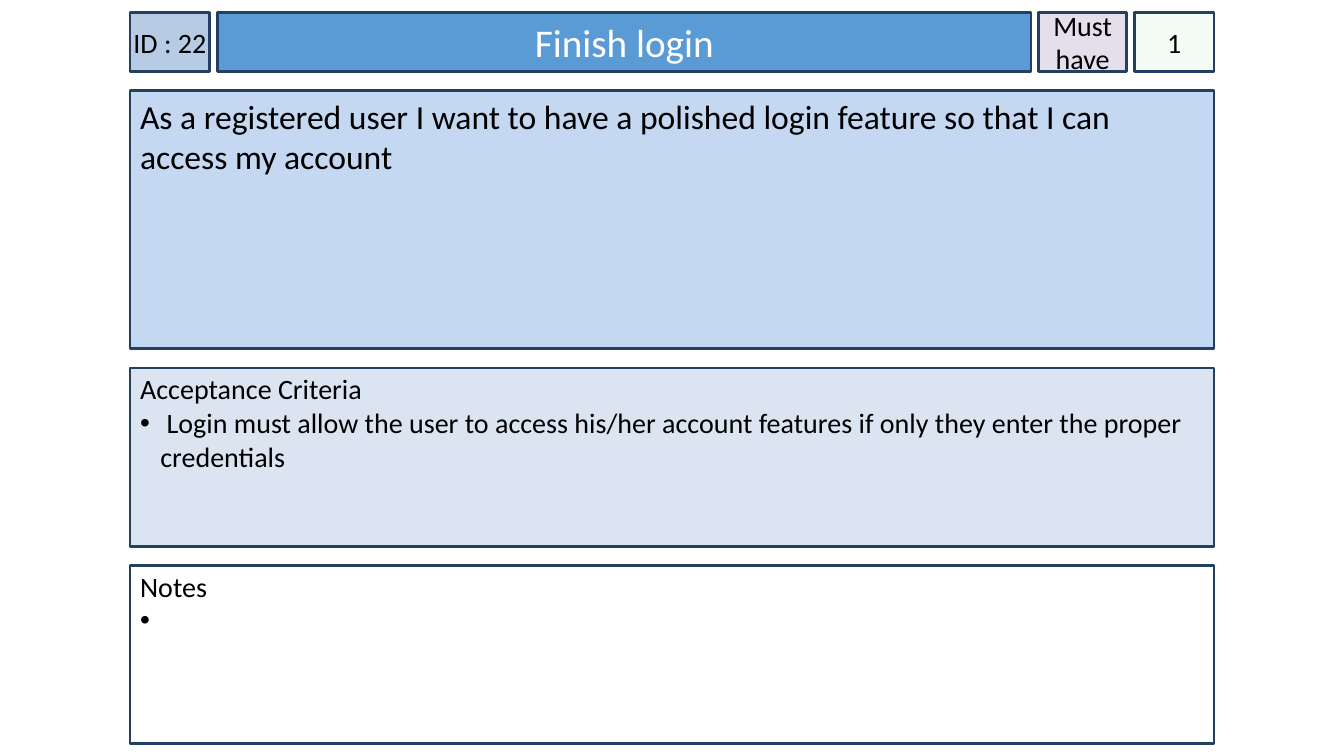
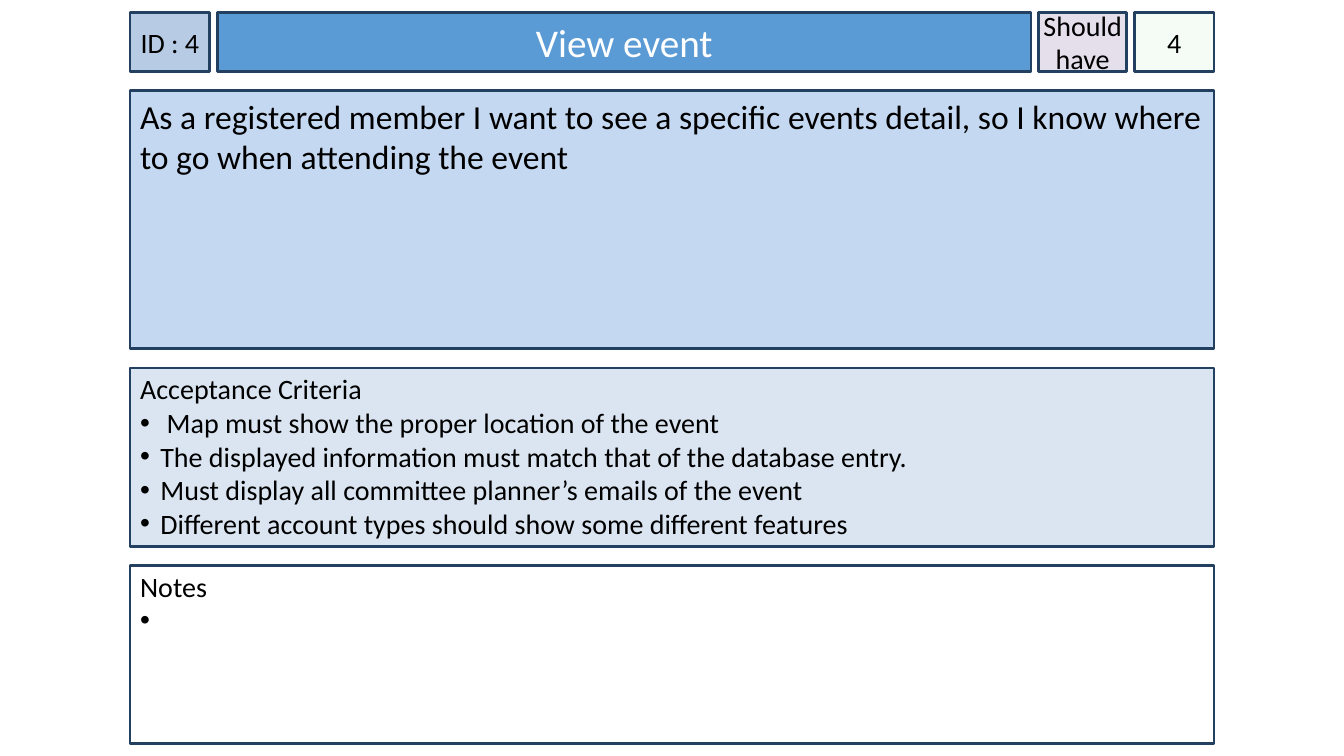
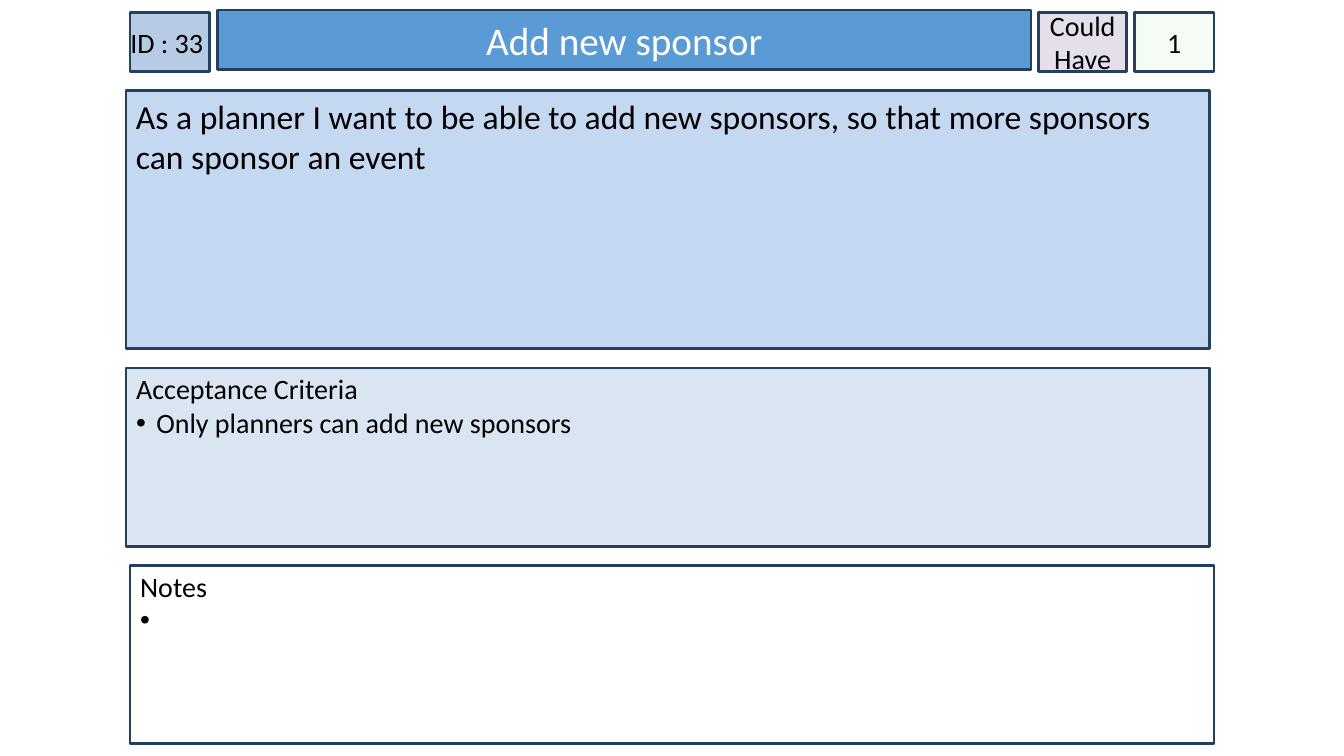
from dataclasses import dataclass

from lxml.etree import SubElement
from pptx import Presentation
from pptx.dml.color import RGBColor
from pptx.enum.shapes import MSO_SHAPE as Preset
from pptx.enum.text import MSO_ANCHOR as Anchor, MSO_AUTO_SIZE as AutoSize, PP_ALIGN as Align
from pptx.oxml.ns import qn
from pptx.util import Inches, Pt


@dataclass(frozen=True)
class Theme:
    font: str = "Calibri"
    ink: str = "000000"
    white: str = "FFFFFF"
    outline: str = "244061"
    badge: str = "B7CCE4"
    title: str = "5B9BD5"
    priority: str = "E5DFEC"
    estimate: str = "CCF0CD"
    story: str = "C5D8F1"
    criteria: str = "DAE5F1"
    title_size: int = 28
    story_size: int = 24
    text_size: int = 20
    line_width: int = 2


@dataclass(frozen=True)
class Card:
    badge: str
    title: str
    priority: str
    estimate: str
    story: str
    criteria: tuple
    title_top: float = 0.12
    panel_left: float = 1.29


LEFT, WIDTH = 1.29, 10.75
HEADER_TOP, HEADER_HEIGHT = 0.12, 0.59
HEADER_WIDTHS = (0.79, 8.07, 0.87, 0.79)
PANEL_TOP, PANEL_GAP = 0.9, 0.19
PANEL_HEIGHTS = (2.56, 1.77, 1.77)
TWO_CONTENT_LAYOUT = 3

CARDS = (
    Card("ID : 22", "Finish login", "Must have", "1",
         "As a registered user I want to have a polished login feature "
         "so that I can access my account",
         (" Login must allow the user to access his/her account features "
          "if only they enter the proper credentials",)),
    Card("ID : 4", "View event", "Should have", "4",
         "As a registered member I want to see a specific events detail, "
         "so I know where to go when attending the event",
         (" Map must show the proper location of the event",
          "The displayed information must match that of the database entry.",
          "Must display all committee planner’s emails of the event",
          "Different account types should show some different features")),
    Card("ID : 33 ", "Add new sponsor", "Could Have", "1",
         "As a planner I want to be able to add new sponsors, "
         "so that more sponsors can sponsor an event",
         ("Only planners can add new sponsors",),
         title_top=0.1, panel_left=1.25),
)


def spread(start, sizes, gap):
    """Return the start of each item laid out one after another."""
    return [start + sum(sizes[:index]) + gap * index for index in range(len(sizes))]


class CardDeck:
    def __init__(self, theme):
        self.theme = theme
        self.deck = Presentation()
        self.deck.slide_width, self.deck.slide_height = Inches(13.33), Inches(7.5)
        self.page = None

    def new_page(self):
        layout = self.deck.slide_layouts[TWO_CONTENT_LAYOUT]
        self.page = self.deck.slides.add_slide(layout)

    def rectangle(self):
        box = self.page.shapes.add_shape(Preset.RECTANGLE, 0, 0, 0, 0)
        box.shadow.inherit = False
        return box

    def style_box(self, box, place, fill, opacity=100, anchor=Anchor.TOP,
                  side=0.1, top=0.05):
        box.left, box.top, box.width, box.height = map(Inches, place)
        box.fill.solid()
        box.fill.fore_color.rgb = RGBColor.from_string(fill)
        if opacity < 100:
            color = box.element.spPr.find(qn("a:solidFill")).find(qn("a:srgbClr"))
            SubElement(color, qn("a:alpha"), val=str(opacity * 1000))
        box.line.color.rgb = RGBColor.from_string(self.theme.outline)
        box.line.width = Pt(self.theme.line_width)
        frame = box.text_frame
        frame.word_wrap = True
        frame.auto_size = AutoSize.NONE
        frame.vertical_anchor = anchor
        frame.margin_left = frame.margin_right = Inches(side)
        frame.margin_top, frame.margin_bottom = Inches(top), Inches(0.05)

    def add_text(self, para, text, size=None, color=None, align=Align.LEFT):
        para.alignment = align
        para.space_before = Pt(0)
        span = para.add_run()
        span.text = text
        span.font.name = self.theme.font
        span.font.size = Pt(size or self.theme.text_size)
        span.font.color.rgb = RGBColor.from_string(color or self.theme.ink)

    def set_bullet(self, para, bulleted):
        indent = Inches(0.2) if bulleted else 0
        props = para._p.get_or_add_pPr()
        props.set("marL", str(indent))
        props.set("indent", str(-indent))
        if bulleted:
            color = SubElement(props, qn("a:buClr"))
            SubElement(color, qn("a:srgbClr"), val=self.theme.ink)
            SubElement(props, qn("a:buFont"), typeface="Arial")
            SubElement(props, qn("a:buChar"), char="•")
        else:
            SubElement(props, qn("a:buNone"))

    def title(self, text, place):
        box = self.page.shapes.title
        self.style_box(box, place, self.theme.title, anchor=Anchor.MIDDLE)
        self.add_text(box.text_frame.paragraphs[0], text, size=self.theme.title_size,
                      color=self.theme.white, align=Align.CENTER)

    def label(self, text, place, fill, opacity=100):
        box = self.rectangle()
        self.style_box(box, place, fill, opacity, anchor=Anchor.MIDDLE, side=0)
        self.add_text(box.text_frame.paragraphs[0], text, align=Align.CENTER)

    def story(self, text, place):
        box = self.rectangle()
        self.style_box(box, place, self.theme.story)
        self.add_text(box.text_frame.paragraphs[0], text, size=self.theme.story_size)

    def bullet_panel(self, index, heading, items, place, fill):
        """Fill the body placeholder with this index: a heading, then bullets."""
        box = self.page.placeholders[index]
        self.style_box(box, place, fill, top=0.04)
        frame = box.text_frame
        for number, text in enumerate((heading, *items)):
            para = frame.add_paragraph() if number else frame.paragraphs[0]
            self.add_text(para, text)
            self.set_bullet(para, bulleted=number > 0)

    def card(self, card):
        theme = self.theme
        self.new_page()
        gap = (WIDTH - sum(HEADER_WIDTHS)) / (len(HEADER_WIDTHS) - 1)
        lefts = spread(LEFT, HEADER_WIDTHS, gap)
        badge, title, priority, estimate = (
            (left, HEADER_TOP, width, HEADER_HEIGHT)
            for left, width in zip(lefts, HEADER_WIDTHS))
        self.label(card.badge, badge, theme.badge)
        self.title(card.title, (title[0], card.title_top, *title[2:]))
        self.label(card.priority, priority, theme.priority)
        self.label(card.estimate, estimate, theme.estimate, opacity=20)

        tops = spread(PANEL_TOP, PANEL_HEIGHTS, PANEL_GAP)
        panel_lefts = (card.panel_left, card.panel_left, LEFT)
        story, criteria, notes = (
            (left, top, WIDTH, height)
            for left, top, height in zip(panel_lefts, tops, PANEL_HEIGHTS))
        self.story(card.story, story)
        self.bullet_panel(1, "Acceptance Criteria", card.criteria, criteria, theme.criteria)
        self.bullet_panel(2, "Notes", (" ",), notes, theme.white)


def main():
    cards = CardDeck(Theme())
    for card in CARDS:
        cards.card(card)
    cards.deck.save("out.pptx")


if __name__ == "__main__":
    main()
